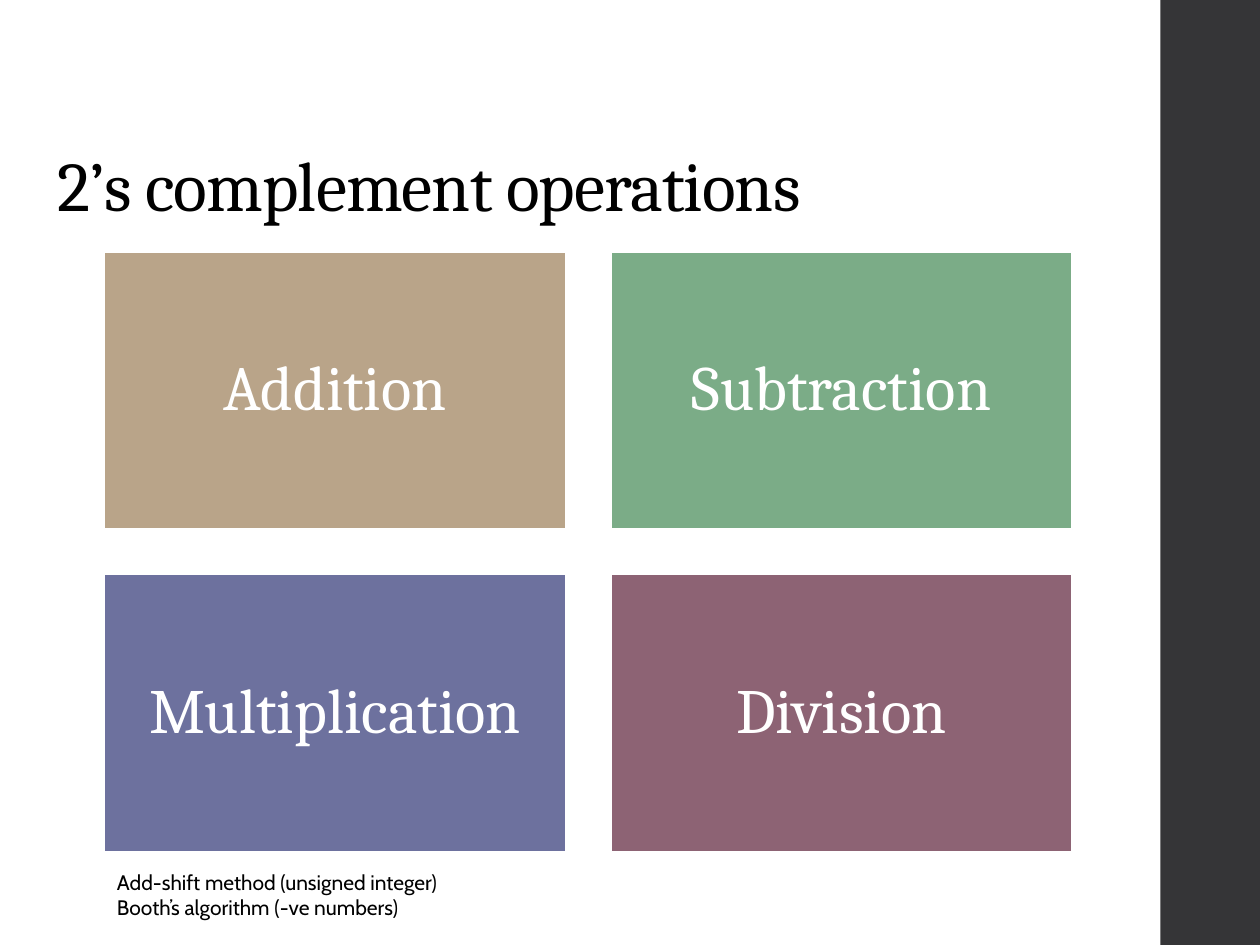
from pptx import Presentation
from pptx import util as u
from pptx.dml.color import RGBColor
from pptx.enum import shapes, text

COLORS = {
    "sidebar": "353537",
    "addition": "B9A489",
    "subtraction": "7BAC87",
    "multiplication": "6D719E",
    "division": "8D6374",
    "white": "FFFFFF",
    "black": "000000",
}
OPERATIONS = ["Addition", "Subtraction", "Multiplication", "Division"]
LEFT, TOP = 0.83, 2
TILE_W, TILE_H, GAP = 3.66, 2.2, 0.36


def rgb(name):
    return RGBColor.from_string(COLORS[name])


def format_runs(p, font, size, color):
    for r in p.runs:
        r.font.name = font
        r.font.size = u.Pt(size)
        r.font.color.rgb = rgb(color)


def add_rect(s, x, y, w, h, color):
    sp = s.shapes.add_shape(shapes.MSO_SHAPE.RECTANGLE, u.Inches(x),
                            u.Inches(y), u.Inches(w), u.Inches(h))
    sp.shadow.inherit = False
    sp.fill.solid()
    sp.fill.fore_color.rgb = rgb(color)
    sp.line.fill.background()
    return sp


def add_tile(s, x, y, label):
    sp = add_rect(s, x, y, TILE_W, TILE_H, label.lower())
    sp.line.color.rgb = rgb("white")
    sp.line.width = u.Pt(1.1)
    tf = sp.text_frame
    tf.word_wrap = True
    tf.vertical_anchor = text.MSO_ANCHOR.MIDDLE
    tf.margin_left = tf.margin_right = u.Inches(0.15)
    tf.margin_top = tf.margin_bottom = u.Inches(0.15)
    tf.text = label
    p = tf.paragraphs[0]
    p.alignment = text.PP_ALIGN.CENTER
    p.line_spacing = 0.9
    format_runs(p, "Cambria", 36, "white")


def add_text(s, x, y, w, h, content, font, size):
    sp = s.shapes.add_textbox(u.Inches(x), u.Inches(y), u.Inches(w), u.Inches(h))
    tf = sp.text_frame
    tf.text = content
    for p in tf.paragraphs:
        format_runs(p, font, size, "black")
    return tf


def add_title(s, content):
    tf = add_text(s, 0.36, 0.4, 8.63, 1.45, content, "Cambria", 40)
    tf.word_wrap = True
    tf.vertical_anchor = text.MSO_ANCHOR.BOTTOM
    p = tf.paragraphs[0]
    p.line_spacing = 0.9
    p.runs[0].font._element.set("spc", "-50")


def add_note(s, content):
    tf = add_text(s, LEFT, 6.85, 2.92, 0.5, content, "Cabin", 12)
    tf.word_wrap = False
    tf.auto_size = text.MSO_AUTO_SIZE.SHAPE_TO_FIT_TEXT


def main():
    prs = Presentation()
    prs.slide_width, prs.slide_height = u.Inches(10), u.Inches(7.5)
    s = prs.slides.add_slide(prs.slide_layouts[6])
    add_rect(s, 9.21, 0, 0.79, 7.5, "sidebar")
    add_title(s, "2’s complement operations")
    for i, label in enumerate(OPERATIONS):
        row, col = divmod(i, 2)
        x = LEFT + col * (TILE_W + GAP)
        y = TOP + row * (TILE_H + GAP)
        add_tile(s, x, y, label)
    add_note(s, "Add-shift method (unsigned integer)\n"
                "Booth’s algorithm (-ve numbers)")
    prs.save("out.pptx")


if __name__ == "__main__":
    main()
